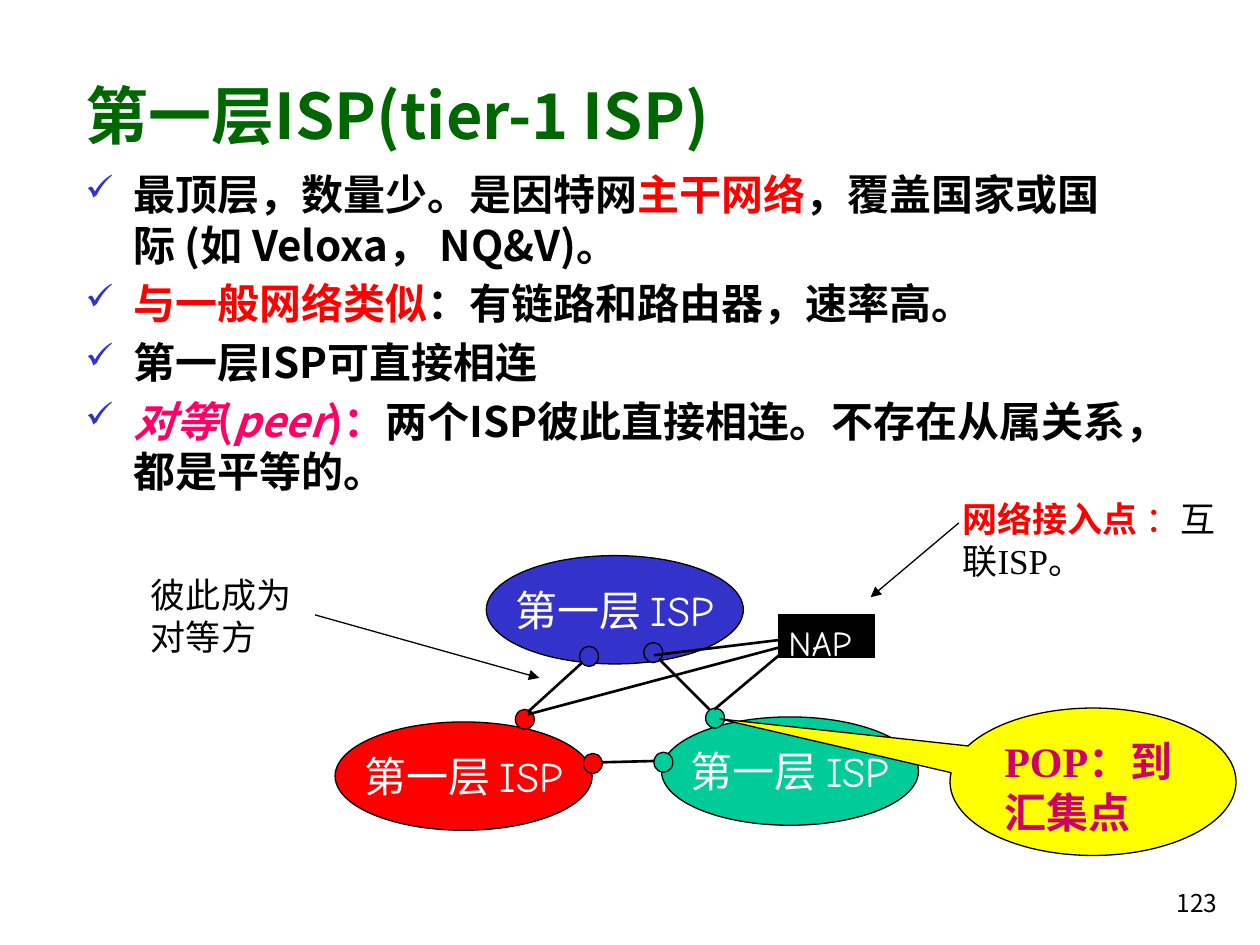
"""Build a slide on tier-1 ISPs with a peering diagram."""
from lxml import etree
from pptx import Presentation
from pptx.dml.color import RGBColor
from pptx.enum.shapes import MSO_CONNECTOR, MSO_SHAPE
from pptx.enum.text import MSO_ANCHOR, PP_ALIGN
from pptx.oxml.ns import qn
from pptx.util import Inches, Pt

STRAIGHT = MSO_CONNECTOR.STRAIGHT
OVAL, RECTANGLE = MSO_SHAPE.OVAL, MSO_SHAPE.RECTANGLE
CALLOUT = MSO_SHAPE.OVAL_CALLOUT
TOP, MIDDLE = MSO_ANCHOR.TOP, MSO_ANCHOR.MIDDLE
LEFT, CENTER, RIGHT = PP_ALIGN.LEFT, PP_ALIGN.CENTER, PP_ALIGN.RIGHT

BLACK = RGBColor(0x00, 0x00, 0x00)
WHITE = RGBColor(0xFF, 0xFF, 0xFF)
RED = RGBColor(0xFF, 0x00, 0x00)
BLUE = RGBColor(0x33, 0x33, 0xCC)
TEAL = RGBColor(0x00, 0xCC, 0x99)
GREEN = RGBColor(0x00, 0x66, 0x00)
YELLOW = RGBColor(0xFF, 0xFF, 0x00)
PINK = RGBColor(0xFF, 0x00, 0x66)
MAGENTA = RGBColor(0xCC, 0x00, 0x66)
SANS, COMIC, SERIF = "Noto Sans CJK SC", "Comic Neue", "Times New Roman"

deck = Presentation()
deck.slide_width, deck.slide_height = Inches(10), Inches(7.5)
page = deck.slides.add_slide(deck.slide_layouts[6])
shapes = page.shapes


def write(para, text, size, face, color, bold=False, align=LEFT):
    """Set the paragraph's font and add its text, if any."""
    para.alignment = align
    font = para.font
    font.size, font.name, font.bold = Pt(size), face, bold
    font.color.rgb = color
    east_asian = etree.Element(qn("a:ea"), typeface=SANS)
    font._element.find(qn("a:latin")).addnext(east_asian)
    if text:
        para.add_run().text = text


def add_box(left, top, width, height, kind=None, fill=None, wrap=True, anchor=TOP):
    """Add a text box, or an outlined shape when a kind is given."""
    place = [Inches(value) for value in (left, top, width, height)]
    if kind is None:
        box = shapes.add_textbox(*place)
    else:
        box = shapes.add_shape(kind, *place)
        box.shadow.inherit = False
        box.fill.solid()
        box.fill.fore_color.rgb = fill
        box.line.color.rgb = BLACK
        box.line.width = Pt(0.75)
    box.text_frame.word_wrap = wrap
    box.text_frame.vertical_anchor = anchor
    return box


number = add_box(9.08, 7, 0.68, 0.5)
write(number.text_frame.paragraphs[0], "123", 14, SANS, BLACK, align=RIGHT)

title = add_box(0.58, 0.45, 9.18, 0.91, anchor=MIDDLE)
write(title.text_frame.paragraphs[0], "第一层ISP(tier-1 ISP)", 36, SANS, GREEN, bold=True)

points = [
    [("最顶层，数量少。是因特网", BLACK, False), ("主干网络", RED, False),
     ("，覆盖国家或国际 (如 Veloxa， NQ&V)。", BLACK, False)],
    [("与一般网络类似", RED, False), ("：有链路和路由器，速率高。", BLACK, False)],
    [("第一层ISP可直接相连", BLACK, False)],
    [("对等", PINK, True), ("(", PINK, False), ("peer", PINK, True), (")：", PINK, False),
     ("两个ISP彼此直接相连。不存在从属关系，都是平等的。", BLACK, False)],
]
body = add_box(0.58, 1.29, 8.5, 2.9).text_frame
for index, spans in enumerate(points):
    para = body.add_paragraph() if index else body.paragraphs[0]
    if index:
        para.space_before = Pt(4.8)
    properties = para._p.get_or_add_pPr()
    properties.set("marL", str(Inches(0.38)))
    properties.set("indent", str(-Inches(0.38)))
    bullet_color = etree.SubElement(properties, qn("a:buClr"))
    etree.SubElement(bullet_color, qn("a:srgbClr"), val=str(BLUE))
    etree.SubElement(properties, qn("a:buSzPct"), val="85000")
    etree.SubElement(properties, qn("a:buChar"), char="✓")
    write(para, "", 24, SANS, BLACK, bold=True)
    for text, color, italic in spans:
        span = para.add_run()
        span.text = text
        span.font.color.rgb = color
        span.font.italic = italic

for left, top, color in [(2.66, 5.73, RED), (3.86, 4.41, BLUE), (5.25, 5.69, TEAL)]:
    isp = add_box(left, top, 2.04, 0.86, OVAL, color, wrap=False, anchor=MIDDLE)
    write(isp.text_frame.paragraphs[0], "第一层 ISP", 24, COMIC, WHITE, align=CENTER)

for left, top, color in [
    (5.6, 5.62, TEAL), (5.11, 5.1, BLUE), (4.6, 5.13, BLUE),
    (4.09, 5.63, RED), (4.63, 5.98, RED), (5.19, 5.97, TEAL),
]:
    add_box(left, top, 0.15, 0.16, OVAL, color)

peers = add_box(1.1, 4.5, 1.56, 0.77)
write(peers.text_frame.paragraphs[0], "彼此成为对等方", 20, COMIC, BLACK)

add_box(6.18, 4.88, 0.76, 0.34, RECTANGLE, BLACK)
nap = add_box(6.16, 4.88, 0.77, 0.43, wrap=False)
write(nap.text_frame.paragraphs[0], "NAP", 20, COMIC, WHITE)

access = add_box(7.54, 3.9, 2.41, 0.77).text_frame.paragraphs[0]
write(access, "", 20, SANS, BLACK)
for text, color, bold, face in [
    ("网络接入点 ", RED, True, SANS), ("：", RED, False, SANS),
    ("互联", BLACK, False, SANS), ("ISP", BLACK, False, SERIF), ("。", BLACK, False, SANS),
]:
    span = access.add_run()
    span.text = text
    span.font.color.rgb = color
    span.font.bold = bold
    span.font.name = face

links = [
    (4.78, 6.05, 5.19, 6.04), (5.23, 5.23, 5.63, 5.63), (4.19, 5.65, 4.62, 5.26),
    (6.22, 5.17, 5.67, 5.63), (6.18, 5.08, 5.19, 5.2), (6.18, 5.14, 4.19, 5.67),
]
pointers = [(2.5, 4.88, 4.28, 5.38), (7.61, 4.15, 6.91, 4.74)]
for ends in links + pointers:
    line = shapes.add_connector(STRAIGHT, *[Inches(value) for value in ends])
    line.line.color.rgb = BLACK
    line.line.width = Pt(0.75 if ends in pointers else 1.5)
    if ends in pointers:
        etree.SubElement(line.line._get_or_add_ln(), qn("a:tailEnd"), type="triangle")
    etree.SubElement(line._element.spPr, qn("a:effectLst"))

pop = add_box(7.54, 5.62, 2.27, 1.17, CALLOUT, YELLOW)
pop.adjustments[0], pop.adjustments[1] = -1.305, -0.426
write(pop.text_frame.paragraphs[0], "POP：到汇集点", 24, SERIF, MAGENTA, bold=True)

deck.save("out.pptx")
